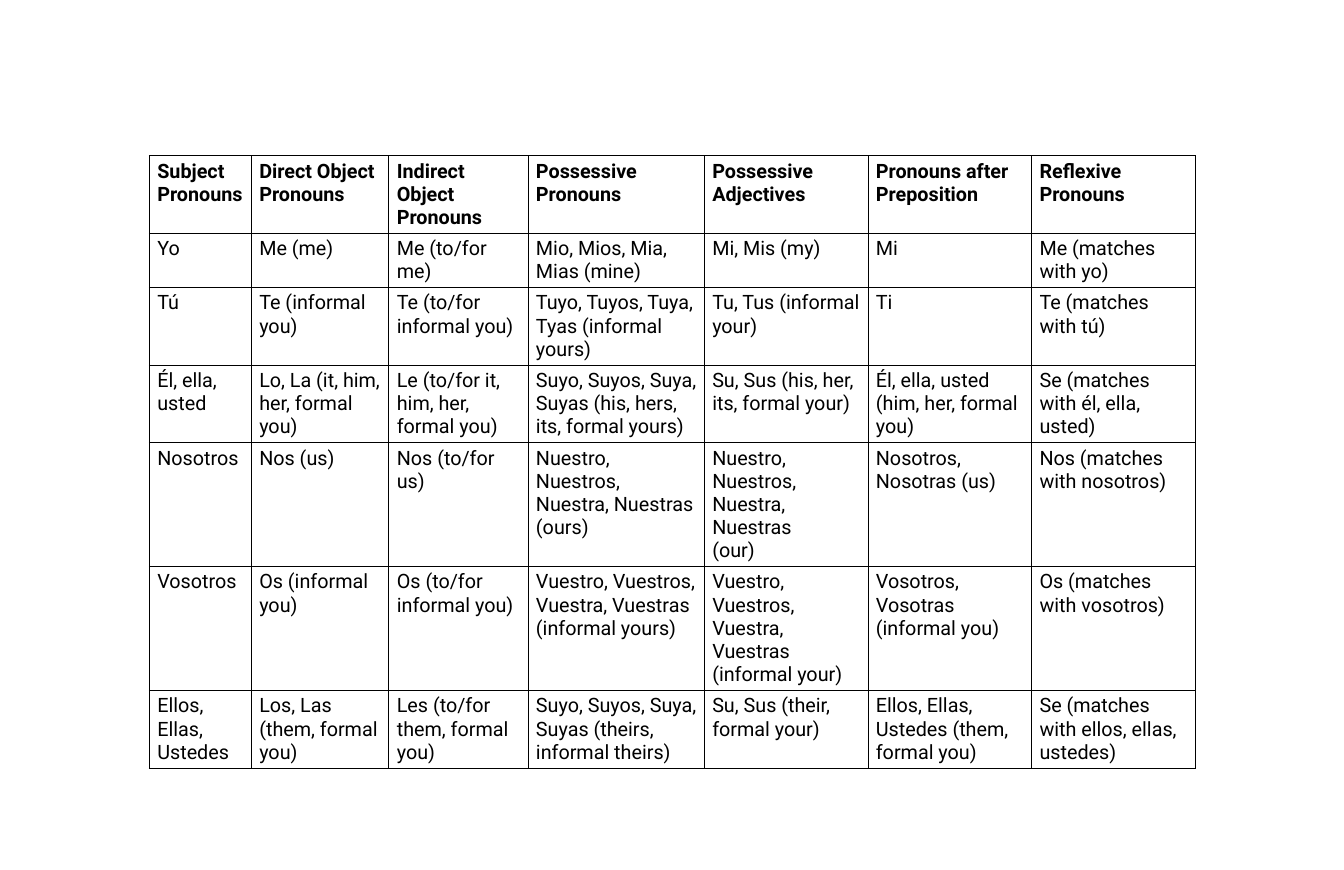
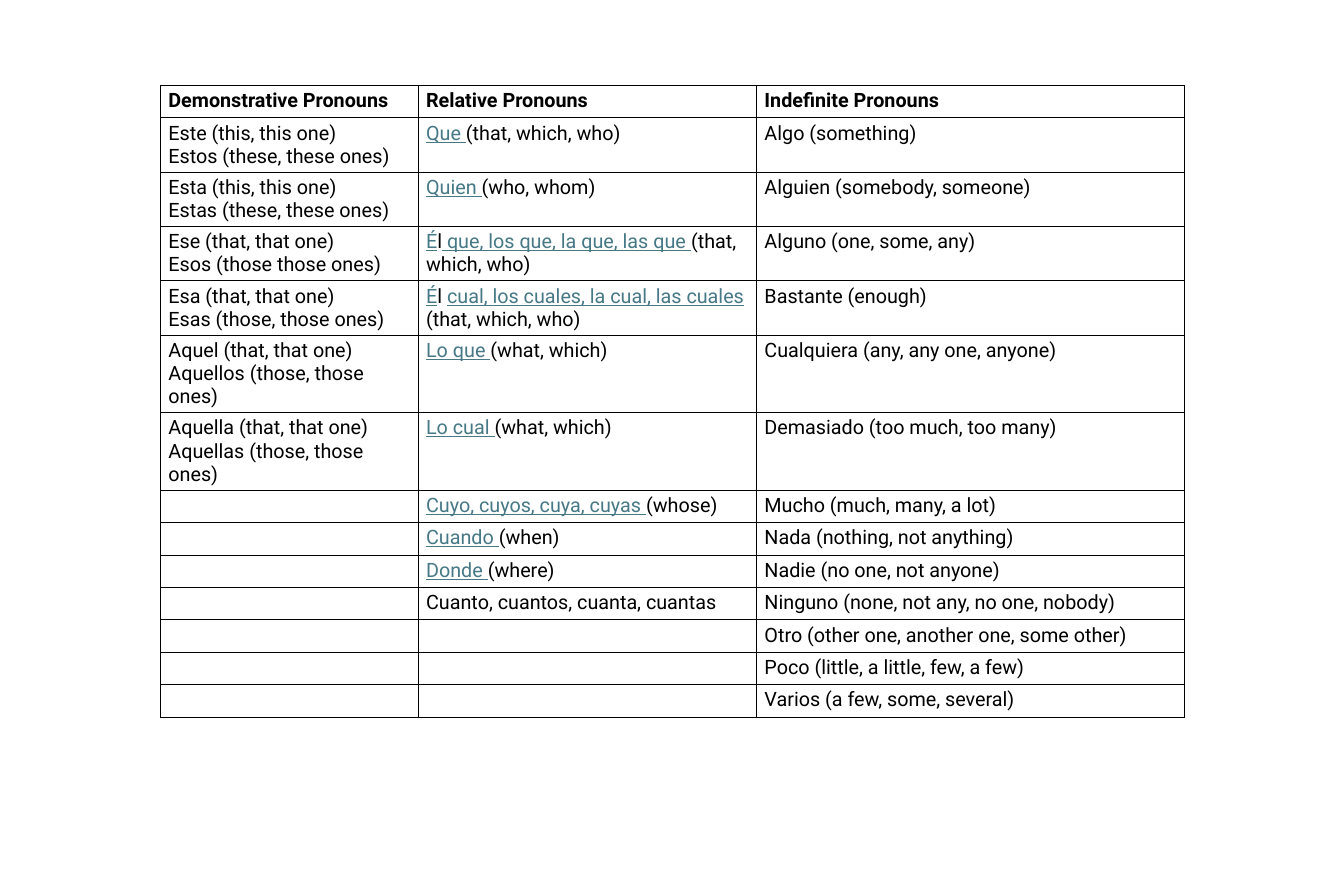
"""Build two slides of Spanish pronoun tables."""
from dataclasses import dataclass

from lxml.etree import SubElement
from pptx import Presentation
from pptx.dml.color import RGBColor as RGB
from pptx.oxml.ns import qn
from pptx.util import Pt

PX = 9144
SLIDE = (1700, 1100)
ROW_H = 41
LINK = "_"


@dataclass(frozen=True)
class Theme:
    font: str = "Roboto"
    size: int = 18
    ink: str = "000000"
    link: str = "467886"
    border: str = "000000"
    border_pt: int = 1


THEME = Theme()

PERSONAL = [
    ("Subject Pronouns", "Direct Object Pronouns", "Indirect Object Pronouns",
     "Possessive Pronouns", "Possessive Adjectives",
     "Pronouns after Preposition", "Reflexive Pronouns"),
    ("Yo", "Me (me)", "Me (to/for me)", "Mio, Mios, Mia, Mias (mine)",
     "Mi, Mis (my)", "Mi", "Me (matches with yo)"),
    ("Tú", "Te (informal you)", "Te (to/for informal you)",
     "Tuyo, Tuyos, Tuya, Tyas (informal yours)", "Tu, Tus (informal your)",
     "Ti", "Te (matches with tú)"),
    ("Él, ella, usted", "Lo, La (it, him, her, formal you)",
     "Le (to/for it, him, her, formal you)",
     "Suyo, Suyos, Suya, Suyas (his, hers, its, formal yours)",
     "Su, Sus (his, her, its, formal your)",
     "Él, ella, usted (him, her, formal you)",
     "Se (matches with él, ella, usted)"),
    ("Nosotros", "Nos (us)", "Nos (to/for us)",
     "Nuestro, Nuestros, Nuestra, Nuestras\n(ours)",
     "Nuestro, Nuestros, Nuestra, Nuestras\n(our)",
     "Nosotros, Nosotras (us)", "Nos (matches with nosotros)"),
    ("Vosotros", "Os (informal you)", "Os (to/for informal you)",
     "Vuestro, Vuestros, Vuestra, Vuestras\n(informal yours)",
     "Vuestro, Vuestros, Vuestra, Vuestras\n(informal your)",
     "Vosotros, Vosotras (informal you)", "Os (matches with vosotros)"),
    ("Ellos, Ellas, Ustedes", "Los, Las (them, formal you)",
     "Les (to/for them, formal you)",
     "Suyo, Suyos, Suya, Suyas (theirs, informal theirs)",
     "Su, Sus (their, formal your)",
     "Ellos, Ellas, Ustedes (them, formal you)",
     "Se (matches with ellos, ellas, ustedes)"),
]

OTHER = [
    ("Demonstrative Pronouns", "Relative Pronouns", "Indefinite Pronouns"),
    ("Este (this, this one)\nEstos (these, these ones)",
     "_Que _(that, which, who)", "Algo (something)"),
    ("Esta (this, this one)\nEstas (these, these ones)",
     "_Quien _(who, whom)", "Alguien (somebody, someone)"),
    ("Ese (that, that one)\nEsos (those those ones)",
     "_É_l_ que, los que, la que, las que _(that, which, who)",
     "Alguno (one, some, any)"),
    ("Esa (that, that one)\nEsas (those, those ones)",
     "_É_l _cual, los cuales, la cual, las cuales _(that, which, who)",
     "Bastante (enough)"),
    ("Aquel (that, that one)\nAquellos (those, those ones)",
     "_Lo que _(what, which)", "Cualquiera (any, any one, anyone)"),
    ("Aquella (that, that one)\nAquellas (those, those ones)",
     "_Lo cual _(what, which)", "Demasiado (too much, too many)"),
    ("", "_Cuyo, cuyos, cuya, cuyas _(whose)", "Mucho (much, many, a lot)"),
    ("", "_Cuando _(when)", "Nada (nothing, not anything)"),
    ("", "_Donde _(where)", "Nadie (no one, not anyone)"),
    ("", "Cuanto, cuantos, cuanta, cuantas",
     "Ninguno (none, not any, no one, nobody)"),
    ("", "", "Otro (other one, another one, some other)"),
    ("", "", "Poco (little, a little, few, a few)"),
    ("", "", "Varios (a few, some, several)"),
]

TABLES = [
    {"left": 189, "top": 197, "cols": (129, 174, 176, 223, 207, 207, 207),
     "rows": PERSONAL},
    {"left": 203, "top": 108, "cols": (326, 428, 541), "rows": OTHER},
]


def write(tf, text, *, bold=False, size=THEME.size, color=THEME.ink):
    """Fill a text frame, one paragraph per line; marked parts look like links."""
    for i, line in enumerate(text.split("\n")):
        p = tf.add_paragraph() if i else tf.paragraphs[0]
        p.font.size = Pt(size)
        p.font.name = THEME.font
        for j, part in enumerate(line.split(LINK)):
            if not part:
                continue
            linked = j % 2 == 1
            r = p.add_run()
            r.text = part
            r.font.name = THEME.font
            r.font.size = Pt(size)
            r.font.bold = bold
            r.font.underline = linked
            r.font.color.rgb = RGB.from_string(THEME.link if linked else color)


def style_cell(cell):
    """Draw the four borders of a cell and leave it unfilled."""
    tc_pr = cell._tc.get_or_add_tcPr()
    for side in ("a:lnL", "a:lnR", "a:lnT", "a:lnB"):
        ln = SubElement(tc_pr, qn(side), w=str(Pt(THEME.border_pt)))
        fill = SubElement(ln, qn("a:solidFill"))
        SubElement(fill, qn("a:srgbClr"), val=THEME.border)
    cell.fill.background()


def add_grid(s, left, top, cols, rows):
    """Add a bordered table whose first row is bold."""
    box = (left, top, sum(cols), ROW_H * len(rows))
    table = s.shapes.add_table(len(rows), len(cols), *(v * PX for v in box)).table
    table.first_row = table.horz_banding = False
    for col, width in zip(table.columns, cols):
        col.width = width * PX
    for i, row in enumerate(rows):
        table.rows[i].height = ROW_H * PX
        for j, text in enumerate(row):
            cell = table.cell(i, j)
            style_cell(cell)
            write(cell.text_frame, text, bold=i == 0)


def main():
    """Build and save the deck."""
    prs = Presentation()
    prs.slide_width, prs.slide_height = (v * PX for v in SLIDE)
    blank = prs.slide_layouts[6]
    for grid in TABLES:
        add_grid(prs.slides.add_slide(blank), **grid)
    prs.save("out.pptx")


if __name__ == "__main__":
    main()
